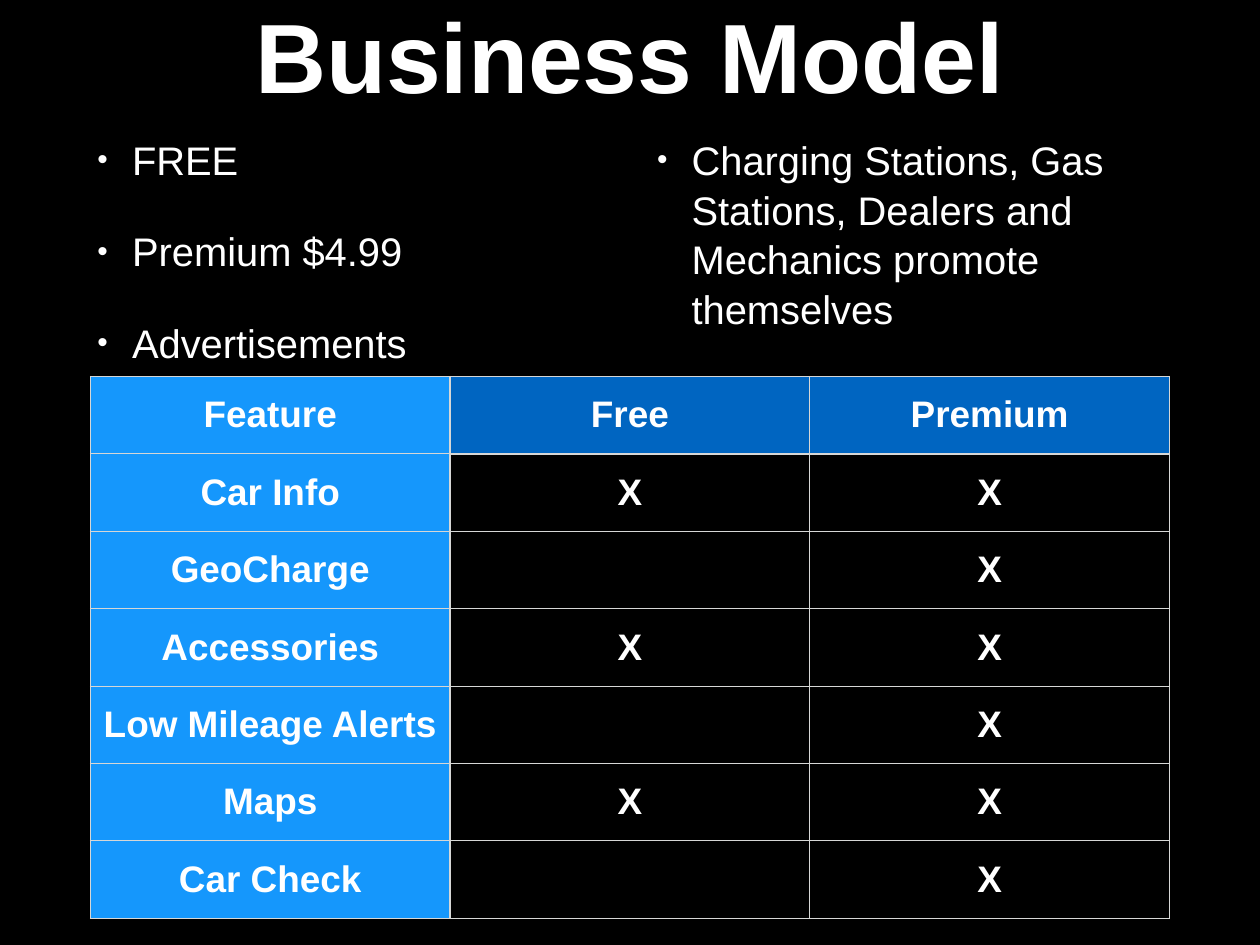
from lxml.etree import SubElement
from pptx import Presentation
from pptx.dml.color import RGBColor
from pptx.enum.text import MSO_ANCHOR, MSO_AUTO_SIZE, PP_ALIGN
from pptx.oxml.ns import qn
from pptx.util import Inches, Pt

COLORS = {
    "background": "000000",
    "text": "FFFFFF",
    "feature": "1597FC",
    "plan": "0065C1",
    "grid": "D6D7D6",
}
OFFERS = [
    "FREE",
    "Premium $4.99",
    "Advertisements",
    "Charging Stations, Gas Stations, Dealers and Mechanics promote themselves",
]
FEATURES = [
    ("Feature", "Free", "Premium"),
    ("Car Info", "X", "X"),
    ("GeoCharge", "", "X"),
    ("Accessories", "X", "X"),
    ("Low Mileage Alerts", "", "X"),
    ("Maps", "X", "X"),
    ("Car Check", "", "X"),
]
INSET = Inches(0.06)
MARGINS = {f"margin_{side}": INSET for side in ("left", "top", "right", "bottom")}


def apply(target, values):
    for name, value in values.items():
        setattr(target, name, value)


class SlideBuilder:
    """Holds the text style and the current slide."""

    def __init__(self, deck):
        self.font_name = "Arial"
        self.slide = deck.slides.add_slide(deck.slide_layouts[1])
        backdrop = self.slide.background.fill
        backdrop.solid()
        backdrop.fore_color.rgb = RGBColor.from_string(COLORS["background"])

    def add_text(self, paragraph, text, size, bold=False):
        run = paragraph.add_run()
        run.text = text
        apply(run.font, {"name": self.font_name, "size": Pt(size), "bold": bold})
        run.font.color.rgb = RGBColor.from_string(COLORS["text"])

    def place(self, holder, left, top, width, height, anchor):
        apply(holder, {"left": Inches(left), "top": Inches(top),
                       "width": Inches(width), "height": Inches(height)})
        apply(holder.text_frame, {**MARGINS, "word_wrap": True,
                                  "auto_size": MSO_AUTO_SIZE.NONE,
                                  "vertical_anchor": anchor})
        return holder.text_frame

    def title(self, text):
        frame = self.place(self.slide.shapes.title, 1.04, -0.57, 12.14, 2.36,
                           MSO_ANCHOR.MIDDLE)
        heading = frame.paragraphs[0]
        heading.alignment = PP_ALIGN.CENTER
        self.add_text(heading, text, 80, True)

    def bullets(self, items):
        frame = self.place(self.slide.placeholders[1], 1.04, 1.45, 12.14, 2.7,
                           MSO_ANCHOR.TOP)
        columns = frame._txBody.bodyPr
        columns.set("numCol", "2")
        columns.set("spcCol", str(Inches(0.61)))
        for index, item in enumerate(items):
            offer = frame.add_paragraph() if index else frame.paragraphs[0]
            apply(offer, {"line_spacing": 1.04, "space_before": Pt(34 if index else 0)})
            props = offer._p.get_or_add_pPr()
            props.set("marL", str(Inches(0.39)))
            props.set("indent", str(-Inches(0.39)))
            SubElement(props, qn("a:buSzPct"), val="75000")
            SubElement(props, qn("a:buFont"), typeface=self.font_name)
            SubElement(props, qn("a:buChar"), char="•")
            self.add_text(offer, item, 32.4)

    def border(self, cell, edge, points):
        line = SubElement(cell._tc.get_or_add_tcPr(), qn(f"a:{edge}"), w=str(Pt(points)))
        paint = SubElement(line, qn("a:solidFill"))
        SubElement(paint, qn("a:srgbClr"), val=COLORS["grid"])

    def cell(self, cell, text, row, column):
        heavy = {
            "lnL": column == 1,
            "lnR": column == 0,
            "lnT": row == 1 and column > 0,
            "lnB": row == 0 and column > 0,
        }
        for edge, is_heavy in heavy.items():
            self.border(cell, edge, 2 if is_heavy else 1)
        apply(cell, {**MARGINS, "vertical_anchor": MSO_ANCHOR.MIDDLE})
        if row and column:
            cell.fill.background()
        else:
            cell.fill.solid()
            shade = COLORS["plan" if column else "feature"]
            cell.fill.fore_color.rgb = RGBColor.from_string(shade)
        label = cell.text_frame.paragraphs[0]
        label.alignment = PP_ALIGN.CENTER
        if text:
            self.add_text(label, text, 30, True)

    def table(self, rows):
        frame = self.slide.shapes.add_table(len(rows), len(rows[0]), Inches(1.02),
                                            Inches(4.25), Inches(12.18), Inches(6.12))
        apply(frame.table, {"horz_banding": False, "first_col": True})
        for row, texts in enumerate(rows):
            for column, text in enumerate(texts):
                self.cell(frame.table.cell(row, column), text, row, column)


def main():
    deck = Presentation()
    apply(deck, {"slide_width": Inches(14.22), "slide_height": Inches(10.67)})
    business = SlideBuilder(deck)
    business.title("Business Model")
    business.bullets(OFFERS)
    business.table(FEATURES)
    deck.save("out.pptx")


if __name__ == "__main__":
    main()
